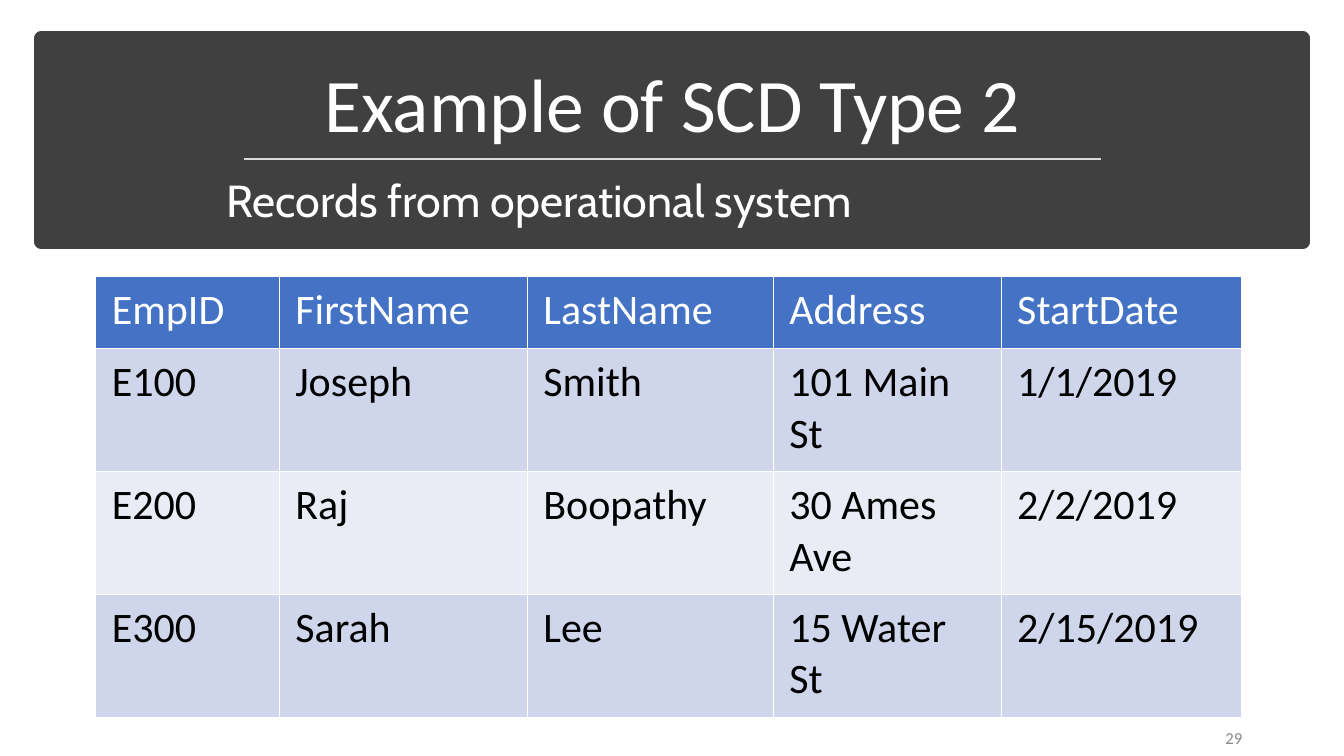
from dataclasses import dataclass

import pptx
import pptx.dml.color
import pptx.enum.shapes
import pptx.enum.text
import pptx.oxml
import pptx.oxml.ns
import pptx.presentation
import pptx.slide
import pptx.table
import pptx.util
from pptx.util import Inches

ALIGN = pptx.enum.text.PP_ALIGN
ANCHOR = pptx.enum.text.MSO_ANCHOR

COLORS = {
    "white": "FFFFFF",
    "black": "000000",
    "banner": "404040",
    "rule": "D9D9D9",
    "page_number": "898989",
    "header": "4472C4",
    "odd_row": "CFD5EA",
    "even_row": "E9EBF5",
}


@dataclass(frozen=True)
class Label:
    text: str
    left: float
    top: float
    width: float
    height: float
    size: float
    color: str = "white"
    font: str = "Calibri"
    align: ALIGN = ALIGN.LEFT
    anchor: ANCHOR = ANCHOR.TOP
    line_spacing: float = 1.0


@dataclass(frozen=True)
class Column:
    heading: str
    width: float
    values: tuple[str, ...]


LABELS = (
    Label("Example of SCD Type 2", 0.58, 0.51, 12.18, 1.02, 54,
          align=ALIGN.CENTER, anchor=ANCHOR.BOTTOM, line_spacing=0.9),
    Label("29", 9.42, 7.13, 3, 0.38, 12, color="page_number",
          align=ALIGN.RIGHT, anchor=ANCHOR.MIDDLE),
    Label("Records from operational system", 2.15, 1.66, 6.66, 0.64, 32, font="Cabin"),
)

COLUMNS = (
    Column("EmpID", 1.82, ("E100", "E200", "E300")),
    Column("FirstName", 2.46, ("Joseph", "Raj", "Sarah")),
    Column("LastName", 2.44, ("Smith", "Boopathy", "Lee")),
    Column("Address", 2.26, ("101 Main St", "30 Ames Ave", "15 Water St")),
    Column("StartDate", 2.39, ("1/1/2019", "2/2/2019", "2/15/2019")),
)
HEADER_HEIGHT = 0.72
RECORD_HEIGHT = 1.22


def rgb(name: str) -> pptx.dml.color.RGBColor:
    return pptx.dml.color.RGBColor.from_string(COLORS[name])


def set_font(p, font: str, size: float, color: str) -> None:
    p.font.name = font
    p.font.size = pptx.util.Pt(size)
    p.font.color.rgb = rgb(color)


def add_banner(s: pptx.slide.Slide) -> None:
    """Draw the dark title band and the rule under the title."""
    band = s.shapes.add_shape(pptx.enum.shapes.MSO_SHAPE.RECTANGLE,
                              Inches(0.41), Inches(0.38), Inches(12.51), Inches(2.02))
    band.shadow.inherit = False
    band.fill.solid()
    band.fill.fore_color.rgb = rgb("banner")
    band.line.color.rgb = rgb("banner")
    band.line.width = pptx.util.Pt(10)

    rule = s.shapes.add_connector(pptx.enum.shapes.MSO_CONNECTOR.STRAIGHT,
                                  Inches(2.42), Inches(1.58), Inches(10.92), Inches(1.58))
    rule.line.color.rgb = rgb("rule")
    rule.line.width = pptx.util.Pt(1.75)
    pptx.oxml.ns.qn("a:effectLst")
    rule._element.spPr.append(pptx.oxml.parse_xml(
        f'<a:effectLst {pptx.oxml.ns.nsdecls("a")}/>'))


def add_label(s: pptx.slide.Slide, label: Label) -> None:
    sp = s.shapes.add_textbox(Inches(label.left), Inches(label.top),
                              Inches(label.width), Inches(label.height))
    tf = sp.text_frame
    tf.word_wrap = True
    tf.vertical_anchor = label.anchor
    p = tf.paragraphs[0]
    p.text = label.text
    p.alignment = label.align
    p.line_spacing = label.line_spacing
    set_font(p, label.font, label.size, label.color)


def add_borders(cell: pptx.table._Cell) -> None:
    """Put a thin white line on all four sides, before the cell's fill."""
    tc_pr = cell._tc.get_or_add_tcPr()
    for i, side in enumerate(("lnL", "lnR", "lnT", "lnB")):
        tc_pr.insert(i, pptx.oxml.parse_xml(
            f'<a:{side} {pptx.oxml.ns.nsdecls("a")} w="{pptx.util.Pt(1)}"><a:solidFill>'
            f'<a:srgbClr val="{COLORS["white"]}"/></a:solidFill></a:{side}>'))


def fill_cell(cell: pptx.table._Cell, text: str, fill: str, color: str) -> None:
    cell.margin_left = cell.margin_right = Inches(0.16)
    cell.margin_top = cell.margin_bottom = Inches(0.08)
    cell.fill.solid()
    cell.fill.fore_color.rgb = rgb(fill)
    add_borders(cell)
    p = cell.text_frame.paragraphs[0]
    p.text = text
    set_font(p, "Calibri", 30, color)


def add_records(s: pptx.slide.Slide) -> None:
    heights = [HEADER_HEIGHT] + [RECORD_HEIGHT] * len(COLUMNS[0].values)
    table = s.shapes.add_table(
        len(heights), len(COLUMNS), Inches(0.95), Inches(2.74),
        Inches(sum(c.width for c in COLUMNS)), Inches(sum(heights))).table
    for row, height in zip(table.rows, heights):
        row.height = Inches(height)
    for j, column in enumerate(COLUMNS):
        table.columns[j].width = Inches(column.width)
        fill_cell(table.cell(0, j), column.heading, "header", "white")
        for i, value in enumerate(column.values, start=1):
            fill_cell(table.cell(i, j), value, "odd_row" if i % 2 else "even_row", "black")


def main() -> None:
    prs = pptx.Presentation()
    prs.slide_width, prs.slide_height = Inches(13.33), Inches(7.5)
    s = prs.slides.add_slide(prs.slide_layouts[6])
    add_banner(s)
    for label in LABELS:
        add_label(s, label)
    add_records(s)
    prs.save("out.pptx")


if __name__ == "__main__":
    main()
